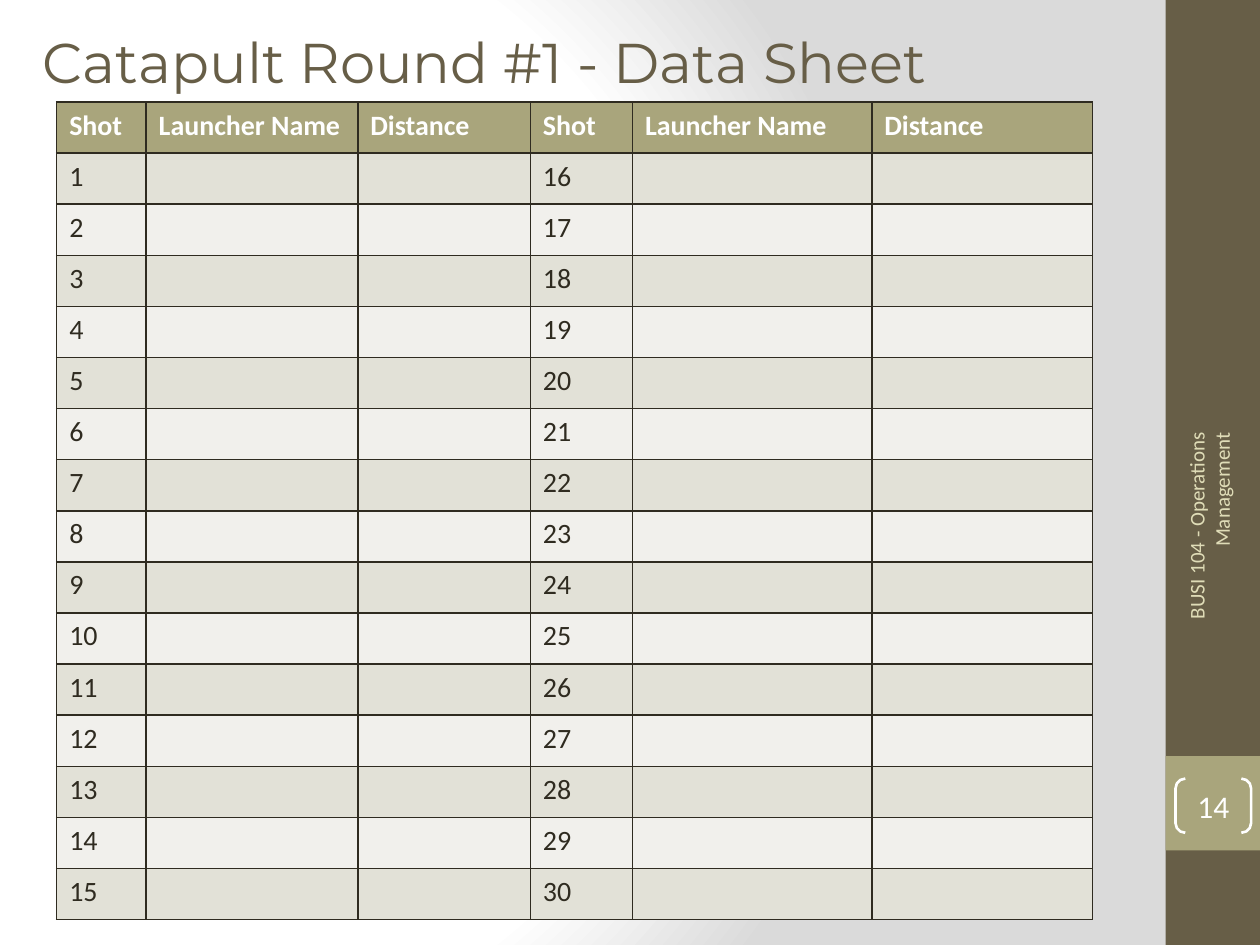
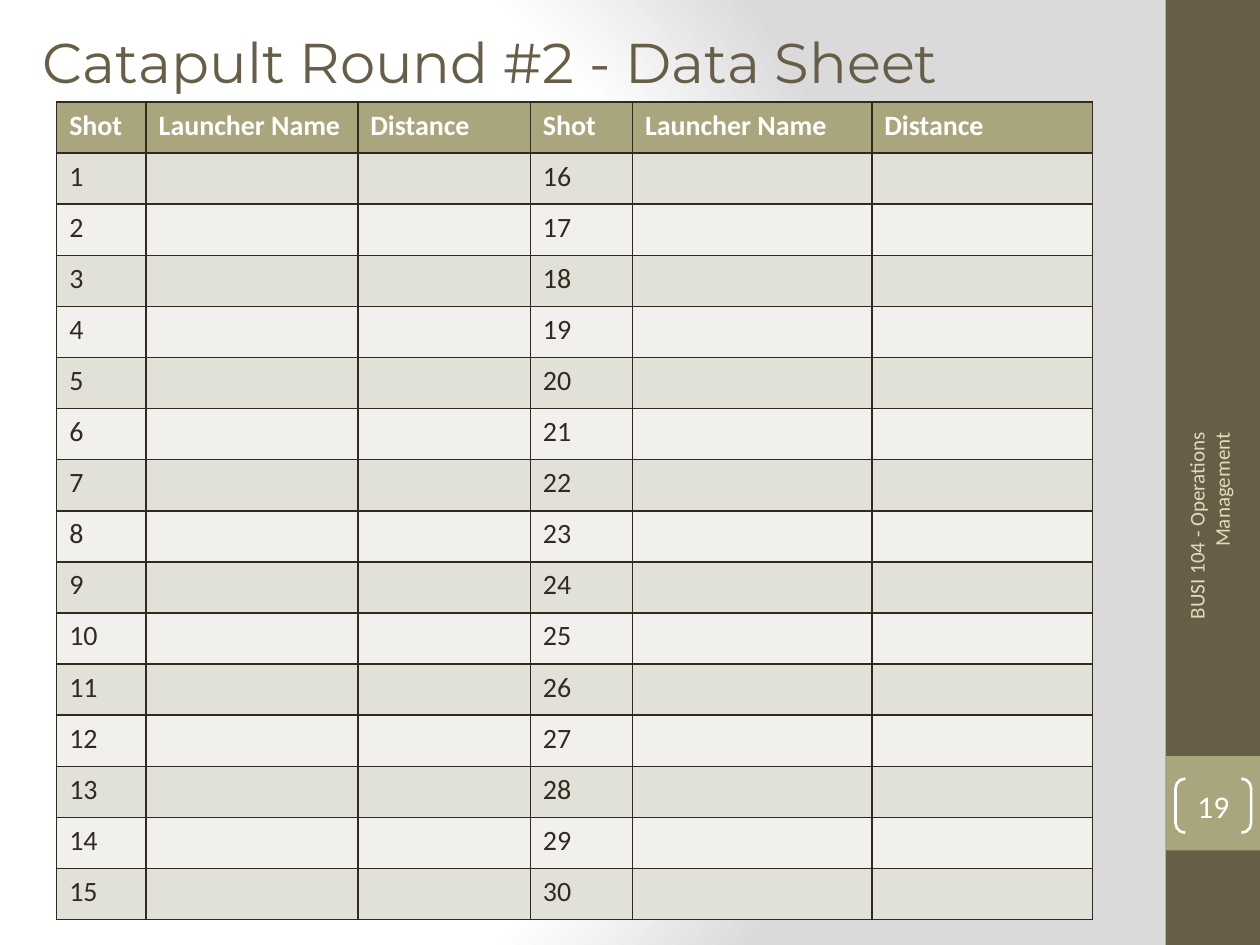
from pptx import Presentation
from pptx import util as u
from pptx.dml.color import RGBColor
from pptx.enum import shapes, text
from pptx.oxml import parse_xml
from pptx.oxml.ns import nsdecls

SLIDES = [
    {"title": "Catapult Round #1 - Data Sheet", "number": "14"},
    {"title": "Catapult Round #2 - Data Sheet", "number": "19"},
]
FOOTER = "BUSI 104 - Operations Management"
HEADINGS = ["Shot", "Launcher Name", "Distance"]
SHOTS_PER_HALF = 15

COLUMN_WIDTHS = [0.71, 1.68, 1.37, 0.81, 1.9, 1.75]
TABLE_LEFT, TABLE_TOP, TABLE_HEIGHT = 0.45, 0.81, 6.49
BAND_LEFT, BAND_WIDTH = 9.25, 0.75

BROWN, OLIVE, CREAM, WHITE = "675E47", "A9A57C", "DFDCB7", "FFFFFF"
INK, ROW_DARK, ROW_LIGHT = "2F2B20", "E2E1D7", "F1F0EC"
BACKGROUND_STOPS = [(0, WHITE), (75, WHITE), (100, "DADADA")]
TITLE_FONT, BODY_FONT = "Montserrat", "Calibri"


def color(code):
    """Turn a hex string into a colour."""
    return RGBColor.from_string(code)


def box(left, top, width, height):
    """Turn inches into the position arguments of a shape."""
    return [u.Inches(value) for value in (left, top, width, height)]


def write(frame, content, font=BODY_FONT, size=16, ink=INK, bold=False,
          align=text.PP_ALIGN.LEFT, anchor=None):
    """Put one formatted line of text in a text frame."""
    frame.word_wrap = True
    if anchor is not None:
        frame.vertical_anchor = anchor
    paragraph = frame.paragraphs[0]
    paragraph.alignment = align
    run = paragraph.add_run()
    run.text = content
    run.font.name = font
    run.font.size = u.Pt(size)
    run.font.bold = bold
    run.font.color.rgb = color(ink)


def set_background(master):
    """Give the master a circular gradient background."""
    stops = "".join(
        f'<a:gs pos="{place * 1000}"><a:srgbClr val="{code}"/></a:gs>'
        for place, code in BACKGROUND_STOPS)
    common = master.element.cSld
    for old in common.findall("{*}bg"):
        common.remove(old)
    common.insert(0, parse_xml(
        f'<p:bg {nsdecls("p", "a")}><p:bgPr><a:gradFill rotWithShape="1">'
        f'<a:gsLst>{stops}</a:gsLst><a:path path="circle">'
        '<a:fillToRect l="20000" t="50000" r="100000" b="50000"/></a:path>'
        '</a:gradFill><a:effectLst/></p:bgPr></p:bg>'))


def add_band(slide, top, height, fill):
    """Add a plain block to the side band."""
    band = slide.shapes.add_shape(shapes.MSO_SHAPE.RECTANGLE,
                                  *box(BAND_LEFT, top, BAND_WIDTH, height))
    band.shadow.inherit = False
    band.fill.solid()
    band.fill.fore_color.rgb = color(fill)
    band.line.fill.background()


def add_title(slide, content):
    """Place and fill the title placeholder."""
    title = slide.shapes.title
    title.left, title.top, title.width, title.height = box(0.24, 0.17, 8.92, 0.64)
    write(title.text_frame, content, font=TITLE_FONT, size=32, ink=BROWN,
          anchor=text.MSO_ANCHOR.TOP)
    title.text_frame.auto_size = text.MSO_AUTO_SIZE.SHAPE_TO_FIT_TEXT


def add_side(slide, number):
    """Add the side band with the course name and the page number."""
    add_band(slide, 0, 7.5, BROWN)
    add_band(slide, 6, 0.75, OLIVE)
    footer = slide.shapes.add_textbox(*box(8.3, 4.43, 2.59, 0.4))
    footer.rotation = 270
    write(footer.text_frame, FOOTER, size=12, ink=CREAM,
          align=text.PP_ALIGN.RIGHT, anchor=text.MSO_ANCHOR.MIDDLE)
    bracket = slide.shapes.add_shape(shapes.MSO_SHAPE.DOUBLE_BRACKET,
                                     *box(9.33, 6.18, 0.6, 0.43))
    bracket.adjustments[0] = 0.18
    bracket.shadow.inherit = False
    bracket.fill.background()
    bracket.line.color.rgb = color(WHITE)
    bracket.line.width = u.Pt(1.5)
    frame = bracket.text_frame
    frame.margin_left = frame.margin_right = frame.margin_top = frame.margin_bottom = 0
    write(frame, number, size=18, ink=WHITE,
          align=text.PP_ALIGN.CENTER, anchor=text.MSO_ANCHOR.MIDDLE)


def format_cell(cell, fill):
    """Fill a cell and draw its four borders."""
    cell.fill.solid()
    cell.fill.fore_color.rgb = color(fill)
    properties = cell._tc.get_or_add_tcPr()
    for index, side in enumerate("LRTB"):
        properties.insert(index, parse_xml(
            f'<a:ln{side} {nsdecls("a")} w="{u.Pt(1)}"><a:solidFill>'
            f'<a:srgbClr val="{INK}"/></a:solidFill></a:ln{side}>'))


def add_data_sheet(slide):
    """Add the blank table with two halves of numbered shots."""
    rows = [HEADINGS * 2] + [
        [str(shot), "", "", str(shot + SHOTS_PER_HALF), "", ""]
        for shot in range(1, SHOTS_PER_HALF + 1)]
    table = slide.shapes.add_table(
        len(rows), len(COLUMN_WIDTHS),
        *box(TABLE_LEFT, TABLE_TOP, sum(COLUMN_WIDTHS), TABLE_HEIGHT)).table
    for column, width in zip(table.columns, COLUMN_WIDTHS):
        column.width = u.Inches(width)
    for row_index, values in enumerate(rows):
        header = row_index == 0
        fill = OLIVE if header else ROW_DARK if row_index % 2 else ROW_LIGHT
        table.rows[row_index].height = u.Inches(TABLE_HEIGHT / len(rows))
        for column_index, value in enumerate(values):
            cell = table.cell(row_index, column_index)
            format_cell(cell, fill)
            if value:
                write(cell.text_frame, value, ink=WHITE if header else INK, bold=header)


def main():
    """Build and save the presentation."""
    presentation = Presentation()
    presentation.slide_width, presentation.slide_height = u.Inches(10), u.Inches(7.5)
    set_background(presentation.slide_master)
    title_only = presentation.slide_layouts[5]
    for content in SLIDES:
        slide = presentation.slides.add_slide(title_only)
        add_title(slide, content["title"])
        add_side(slide, content["number"])
        add_data_sheet(slide)
    presentation.save("out.pptx")


main()
